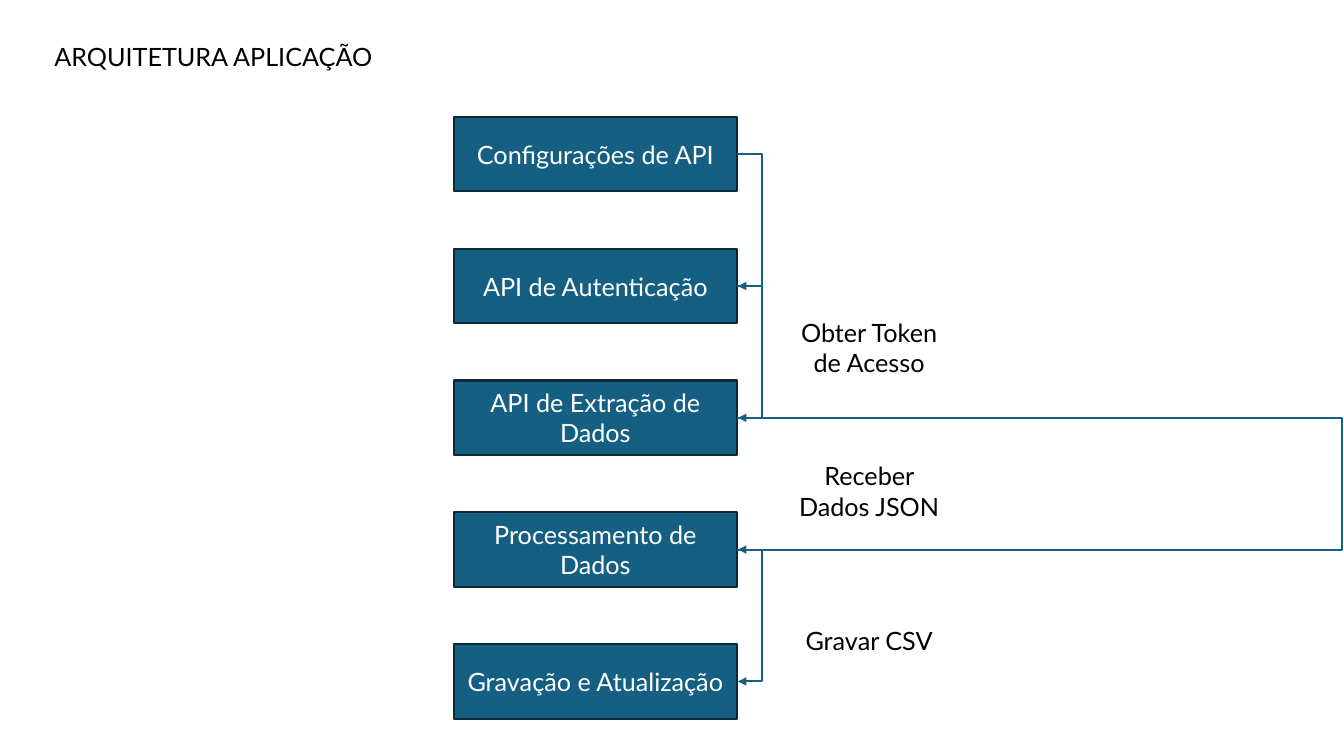
import pptx
import pptx.util
import pptx.dml.color
import pptx.enum.shapes
import pptx.enum.text
import pptx.oxml
import pptx.oxml.ns

Inches = pptx.util.Inches
Pt = pptx.util.Pt
ALIGN = pptx.enum.text.PP_ALIGN
HUES = {"fill": "156082", "edge": "092A39", "dark": "000000", "light": "FFFFFF"}
STEPS = [
    "Configurações de API",
    "API de Autenticação",
    "API de Extração de Dados",
    "Processamento de Dados",
    "Gravação e Atualização",
]
BENDS = [0.25, 0.25, 6.1, 0.25]
NOTES = [
    ("Obter Token de Acesso", 1.94, 0.71),
    ("Receber Dados JSON", 3.36, 0.71),
    ("Gravar CSV", 4.99, 0.4),
]
STUB = 0.01


def hue(name):
    return pptx.dml.color.RGBColor.from_string(HUES[name])


def write(shape, text, tone, align):
    frame = shape.text_frame
    frame.word_wrap = True
    frame.text = text
    para = frame.paragraphs[0]
    para.alignment = align
    font = para.runs[0].font
    font.name = "Lato"
    font.size = Pt(18)
    font.color.rgb = hue(tone)


def label(slide, text, box, align):
    shape = slide.shapes.add_textbox(*map(Inches, box))
    write(shape, text, "dark", align)


def step(slide, text, box):
    kind = pptx.enum.shapes.MSO_SHAPE.RECTANGLE
    shape = slide.shapes.add_shape(kind, *map(Inches, box))
    shape.shadow.inherit = False
    shape.fill.solid()
    shape.fill.fore_color.rgb = hue("fill")
    shape.line.color.rgb = hue("edge")
    shape.line.width = Pt(1.5)
    shape.text_frame.vertical_anchor = pptx.enum.text.MSO_ANCHOR.MIDDLE
    write(shape, text, "light", ALIGN.CENTER)
    return shape


def link(slide, start, end, bend):
    kind = pptx.enum.shapes.MSO_CONNECTOR.ELBOW
    side = start.left + start.width
    line = slide.shapes.add_connector(kind, side, start.top, side, end.top)
    line.begin_connect(start, 3)
    line.end_connect(end, 3)
    line.width = Inches(STUB)
    line.line.color.rgb = hue("fill")
    line.line.width = Pt(1.5)
    make = pptx.oxml.ns.qn
    props = line._element.spPr
    guides = props.find(make("a:prstGeom")).get_or_add_avLst()
    guide = guides.makeelement(make("a:gd"), {
        "name": "adj1", "fmla": f"val {round(bend / STUB * 100000)}"})
    guides.append(guide)
    stroke = line.line._get_or_add_ln()
    stroke.append(stroke.makeelement(make("a:tailEnd"), {"type": "triangle"}))
    props.append(props.makeelement(make("a:effectLst"), {}))


def flow(slide, left, top, width, height):
    tall = 0.74
    pitch = (height - tall) / (len(STEPS) - 1)
    boxes = [step(slide, text, (left, top + i * pitch, width, tall))
             for i, text in enumerate(STEPS)]
    for start, end, bend in zip(boxes, boxes[1:], BENDS):
        link(slide, start, end, bend)


def notes(slide, left, top, width):
    for text, drop, tall in NOTES:
        label(slide, text, (left, top + drop, width, tall), ALIGN.CENTER)


def main():
    deck = pptx.Presentation()
    deck.slide_width = Inches(13.33)
    deck.slide_height = Inches(7.5)
    slide = deck.slides.add_slide(deck.slide_layouts[6])
    label(slide, "ARQUITETURA APLICAÇÃO", (0.44, 0.36, 6.37, 0.4), ALIGN.LEFT)
    flow(slide, 4.5, 1.16, 2.81, 5.97)
    notes(slide, 7.81, 1.16, 1.62)
    deck.save("out.pptx")


if __name__ == "__main__":
    main()
